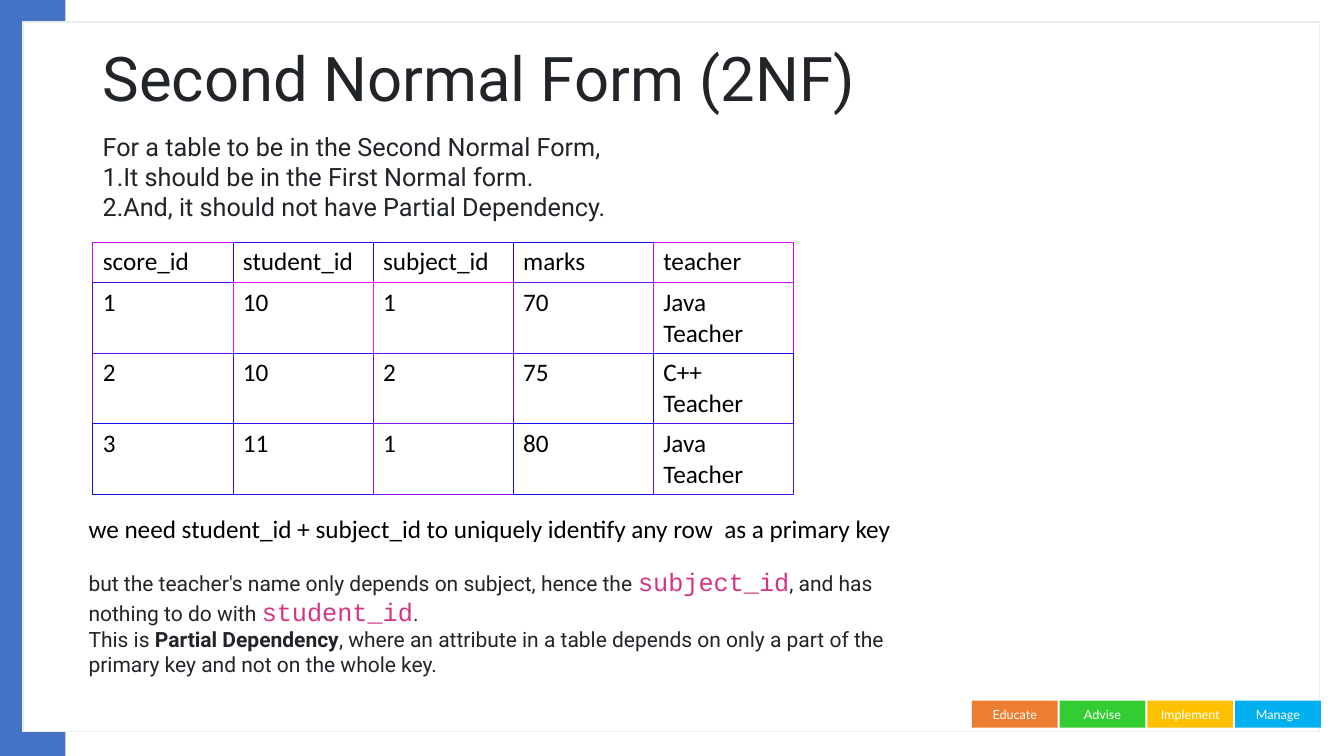
import pptx
import pptx.util
import pptx.dml.color
import pptx.enum.shapes
import pptx.enum.text
import pptx.oxml.ns
from lxml import etree

Inches, Pt = pptx.util.Inches, pptx.util.Pt
ALIGN = pptx.enum.text.PP_ALIGN
ANCHOR = pptx.enum.text.MSO_ANCHOR

COLORS = {
    "blue": "4472C4", "white": "FFFFFF", "edge": "EDEDED", "ink": "212529",
    "black": "000000", "pink": "D63384", "orange": "ED7D31",
    "green": "33CC33", "gold": "FFC000", "sky": "00B0F0",
}

TAGS = [("Educate", "orange"), ("Advise", "green"),
        ("Implement", "gold"), ("Manage", "sky")]

SCORES = [
    ["score_id", "student_id", "subject_id", "marks", "teacher"],
    ["1", "10", "1", "70", "Java Teacher"],
    ["2", "10", "2", "75", "C++ Teacher"],
    ["3", "11", "1", "80", "Java Teacher"],
]
# Left and top border of each cell; the neighbour gives the other two sides
EDGES = [
    ["D004F0", "3003F0", "3003F0", "1007F0", "D006F0"],
    ["5007F0", "F00EF0", "F010F0", "700FF0", "D00BF0"],
    ["700FF0", "3010F0", "700FF0", "500AF0", "100EF0"],
    ["100FF0", "3010F0", "9012F0", "1012F0", "5015F0"],
]


def rgb(name):
    return pptx.dml.color.RGBColor.from_string(COLORS[name])


def add_node(parent, tag, **attrs):
    return etree.SubElement(parent, pptx.oxml.ns.qn(tag), attrs)


class Deck:
    """Holds the style and the current slide."""

    def __init__(self, slide):
        self.slide = slide

    def style(self, font, face, size, color):
        font.name, font.size = face, Pt(size)
        font.color.rgb = rgb(color)

    def rect(self, x, y, w, h, fill, line=None):
        shape = self.slide.shapes.add_shape(
            pptx.enum.shapes.MSO_SHAPE.RECTANGLE,
            Inches(x), Inches(y), Inches(w), Inches(h))
        shape.shadow.inherit = False
        shape.fill.solid()
        shape.fill.fore_color.rgb = rgb(fill)
        if line:
            shape.line.color.rgb = rgb(line)
            shape.line.width = Pt(1)
        else:
            shape.line.fill.background()
        return shape

    def tag(self, x, text, fill):
        frame = self.rect(x, 6.95, 0.85, 0.27, fill).text_frame
        frame.vertical_anchor = ANCHOR.MIDDLE
        para = frame.paragraphs[0]
        para.text, para.alignment = text, ALIGN.CENTER
        self.style(para.font, "Lato", 9, "white")

    def text(self, x, y, w, h, lines, face, size, color, first=None):
        """Add a text box; lines from index first on are numbered."""
        box = self.slide.shapes.add_textbox(
            Inches(x), Inches(y), Inches(w), Inches(h))
        frame = box.text_frame
        frame.word_wrap = True
        frame.text = "\n".join(lines)
        for i, para in enumerate(frame.paragraphs):
            if first is not None and i >= first:
                props = para._p.get_or_add_pPr()
                props.set("marL", "0")
                props.set("indent", "0")
                add_node(props, "a:buFont", typeface="+mj-lt")
                add_node(props, "a:buAutoNum", type="arabicPeriod")
            self.style(para.font, face, size, color)
        return frame

    def note(self, x, y, w, h, paras):
        """Add a filled box of paragraphs made of (text, kind) runs."""
        frame = self.rect(x, y, w, h, "white").text_frame
        frame.word_wrap = True
        frame.vertical_anchor = ANCHOR.MIDDLE
        for i, runs in enumerate(paras):
            para = frame.add_paragraph() if i else frame.paragraphs[0]
            para.alignment = ALIGN.LEFT
            self.style(para.font, "Roboto", 15, "ink")
            for words, kind in runs:
                run = para.add_run()
                run.text = words
                if kind == "code":
                    self.style(run.font, "Courier New", 18, "pink")
                elif kind == "bold":
                    run.font.bold = True

    def border(self, cell, sides):
        props = cell._tc.get_or_add_tcPr()
        for side, color in sides.items():
            line = add_node(props, "a:ln" + side, w=str(Pt(0.6)))
            add_node(add_node(line, "a:solidFill"), "a:srgbClr", val=color)

    def table(self, x, y, wide, highs, rows, edges):
        count = len(rows[0])
        grid = self.slide.shapes.add_table(
            len(rows), count, Inches(x), Inches(y),
            Inches(wide * count), Inches(sum(highs))).table
        grid.first_row = grid.horz_banding = False
        for col in grid.columns:
            col.width = Inches(wide)
        for r, row in enumerate(rows):
            grid.rows[r].height = Inches(highs[r])
            below = edges[min(r + 1, len(rows) - 1)]
            for c, words in enumerate(row):
                cell = grid.cell(r, c)
                own, right = edges[r][c], edges[r][min(c + 1, count - 1)]
                self.border(cell, {"L": own, "R": right,
                                   "T": own, "B": below[c]})
                cell.fill.solid()
                cell.fill.fore_color.rgb = rgb("white")
                cell.text = words
                self.style(cell.text_frame.paragraphs[0].font,
                           "Calibri", 18, "black")


def main():
    show = pptx.Presentation()
    show.slide_width, show.slide_height = Inches(13.33), Inches(7.5)
    deck = Deck(show.slides.add_slide(show.slide_layouts[6]))

    deck.rect(0, 0, 0.65, 7.5, "blue")
    deck.rect(0.23, 0.22, 12.86, 7.04, "white", "edge")
    for i, (text, fill) in enumerate(TAGS):
        deck.tag(9.64 + 0.87 * i, text, fill)

    title = deck.text(0.92, 0.4, 11.5, 1.45, ["Second Normal Form (2NF)"],
                      "Roboto", 44, "ink")
    title.margin_top = Inches(0.08)
    title.paragraphs[0].line_spacing = 0.9

    deck.text(0.92, 1.25, 6.67, 1.01,
              ["For a table to be in the Second Normal Form,",
               "It should be in the First Normal form.",
               "And, it should not have Partial Dependency."],
              "Roboto", 18, "ink", first=1)
    deck.table(0.92, 2.4, 1.39, [0.4, 0.7, 0.7, 0.7], SCORES, EDGES)
    deck.text(0.78, 5.04, 9.4, 0.4,
              ["we need student_id + subject_id to uniquely identify any row"
               "  as a primary key"], "Calibri", 18, "black")
    deck.note(0.78, 5.56, 8.41, 1.21, [
        [("but the teacher's name only depends on subject, hence the ", ""),
         ("subject_id", "code"),
         (", and has nothing to do with ", ""),
         ("student_id", "code"), (".", "")],
        [("This is ", ""), ("Partial Dependency", "bold"),
         (", where an attribute in a table depends on only a part of the "
          "primary key and not on the whole key.", "")],
    ])
    show.save("out.pptx")


if __name__ == "__main__":
    main()
